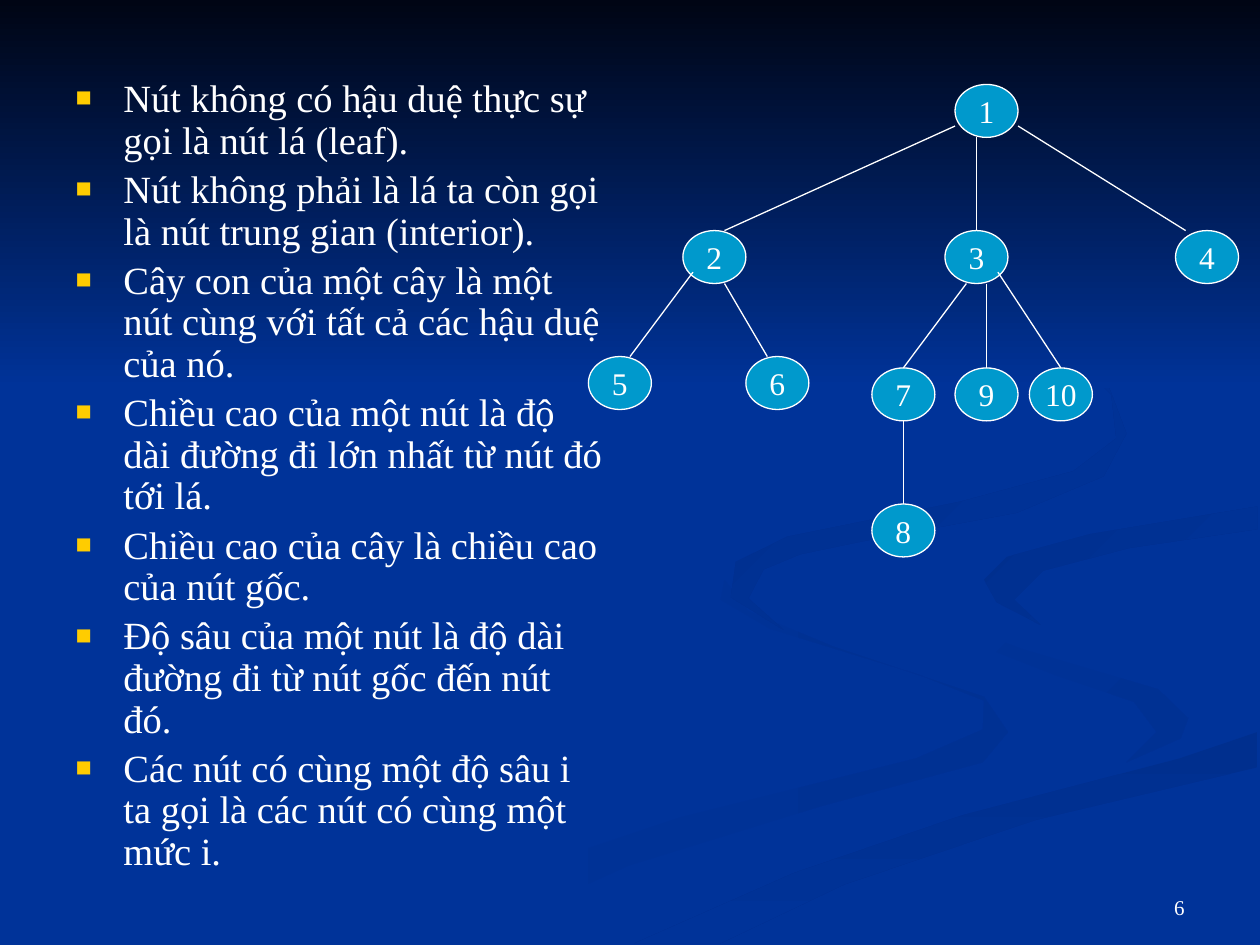
import pptx
import pptx.util
import pptx.dml.color
import pptx.enum.shapes
import pptx.enum.text
import lxml.etree
from dataclasses import dataclass
from pptx.oxml.ns import qn

Inches = pptx.util.Inches
Pt = pptx.util.Pt
Align = pptx.enum.text.PP_ALIGN
Anchor = pptx.enum.text.MSO_ANCHOR
Shape = pptx.enum.shapes.MSO_SHAPE


@dataclass(frozen=True)
class Theme:
    font: str = "Times New Roman"
    white: str = "FFFFFF"
    back: str = "003399"
    night: str = "000514"
    shade: str = "002F8E"
    pale: str = "003193"
    node: str = "0099CC"
    mark: str = "FFCC00"
    body: int = 22
    label: int = 18
    small: int = 12


THEME = Theme()
WIDE, HIGH = 0.5, 0.42

ITEMS = [
    "Nút không có hậu duệ thực sự gọi là nút lá (leaf).",
    "Nút không phải là lá ta còn gọi là nút trung gian (interior).",
    "Cây con của một cây là một nút cùng với tất cả các hậu duệ của nó.",
    "Chiều cao của một nút là độ dài đường đi lớn nhất từ nút đó tới lá.",
    "Chiều cao của cây là chiều cao của nút gốc.",
    "Độ sâu của một nút là độ dài đường đi từ nút gốc đến nút đó.",
    "Các nút có cùng một độ sâu i ta gọi là các nút có cùng một mức i.",
]

ROWS = [
    (0.67, {"1": 7.58}),
    (1.83, {"2": 5.42, "3": 7.5, "4": 9.33}),
    (2.83, {"5": 4.67, "6": 5.92}),
    (2.92, {"7": 6.92, "9": 7.58, "10": 8.17}),
    (4, {"8": 6.92}),
]
NODES = {name: (left, top) for top, row in ROWS for name, left in row.items()}

EDGES = [
    ("1", "2", 0, 0.33), ("1", "3", 0.17, 0.25), ("1", "4", 0.5, 0.08),
    ("2", "5", 0.08, 0.33), ("2", "6", 0.33, 0.17),
    ("3", "7", 0.17, 0.25), ("3", "9", 0.33, 0.25), ("3", "10", 0.42, 0.25),
    ("7", "8", 0.25, 0.25),
]

WAVES = [
    (THEME.back, THEME.pale, 0, [
        (5.75, 4.6), (5.72, 4.76), (6.11, 4.99), (7.28, 5.35), (7.81, 5.56),
        (7.8, 5.79), (7.27, 6.02), (5.39, 6.49), (4.17, 6.9), (3, 7.49),
        (3.61, 7.49), (4.99, 6.87), (6.51, 6.4), (7.8, 6.05), (8, 5.81),
        (7.81, 5.53), (6.61, 5.13), (5.94, 4.85)]),
    (THEME.back, THEME.pale, 45, [
        (7.24, 4.64), (7.46, 5), (8.38, 5.36), (9, 5.57), (9.18, 5.81),
        (8.94, 6.05), (9.37, 5.86), (9.43, 5.7), (9.19, 5.47), (8.11, 5.15),
        (7.45, 4.9)]),
    (THEME.shade, THEME.back, 90, [
        (5.03, 7.49), (5.71, 7.49), (6.7, 7.02), (8.21, 6.51), (9.98, 6.09),
        (9.98, 5.81), (9.36, 6.02), (7.64, 6.47), (6.3, 6.93)]),
    (THEME.shade, THEME.back, 45, [
        (7.81, 4.6), (7.91, 4.78), (8.26, 4.96), (8.05, 4.76), (8.28, 4.53),
        (8.96, 4.35), (9.98, 4.2), (9.98, 4.02), (8.65, 4.24), (7.99, 4.42)]),
    (THEME.shade, THEME.back, 45, [
        (6.83, 4.3), (8.07, 4.07), (8.76, 3.78), (8.94, 3.44), (8.8, 3.07),
        (8.43, 2.75), (7.62, 2.33), (8.46, 2.79), (8.82, 3.13), (8.86, 3.48),
        (8.52, 3.74), (7.63, 3.98), (6.25, 4.26), (5.84, 4.46), (5.8, 4.74),
        (6.22, 5), (5.94, 4.75), (6.06, 4.52), (6.35, 4.4)]),
]


def tint(code):
    return pptx.dml.color.RGBColor.from_string(code)


def style(para, size, align):
    para.alignment = align
    para.font.size = Pt(size)
    para.font.name = THEME.font
    para.font.color.rgb = tint(THEME.white)


def blend(shape, first, last, angle):
    shape.shadow.inherit = False
    shape.line.fill.background()
    shape.fill.gradient()
    shape.fill.gradient_angle = -angle % 360
    for stop, code in zip(shape.fill.gradient_stops, (first, last)):
        stop.color.rgb = tint(code)


def add_wave(slide, first, last, angle, points):
    start, *rest = [tuple(map(Inches, point)) for point in points]
    pen = slide.shapes.build_freeform(*start)
    pen.add_line_segments(rest, close=True)
    blend(pen.convert_to_shape(), first, last, angle)


def add_sky(slide):
    sky = slide.shapes.add_shape(Shape.RECTANGLE, 0, 0, Inches(10), Inches(3.08))
    blend(sky, THEME.night, THEME.back, 90)


def add_mark(para):
    props = para._p.get_or_add_pPr()
    props.set("marL", str(Inches(0.38)))
    props.set("indent", str(-Inches(0.38)))
    color = lxml.etree.SubElement(props, qn("a:buClr"))
    lxml.etree.SubElement(color, qn("a:srgbClr"), val=THEME.mark)
    lxml.etree.SubElement(props, qn("a:buSzPct"), val="70000")
    lxml.etree.SubElement(props, qn("a:buFont"), typeface=THEME.font)
    lxml.etree.SubElement(props, qn("a:buChar"), char="■")


def fill_list(body, items):
    body.left, body.top = Inches(0.5), Inches(0.58)
    body.width, body.height = Inches(4.42), Inches(6.12)
    frame = body.text_frame
    frame.auto_size = pptx.enum.text.MSO_AUTO_SIZE.NONE
    frame.text = "\n".join(items)
    for index, para in enumerate(frame.paragraphs):
        add_mark(para)
        para.line_spacing = 0.9
        para.space_before = Pt(4.4 if index else 0)
        style(para, THEME.body, Align.LEFT)


def add_edge(slide, upper, lower, start, end):
    left, top = NODES[upper]
    low, base = NODES[lower]
    drop = HIGH if 0.1 < start < 0.4 else 0.33
    ends = map(Inches, (left + start, top + drop, low + end, base))
    kind = pptx.enum.shapes.MSO_CONNECTOR.STRAIGHT
    edge = slide.shapes.add_connector(kind, *ends)
    edge.line.color.rgb = tint(THEME.white)
    edge.line.width = Pt(0.75)
    lxml.etree.SubElement(edge._element.spPr, qn("a:effectLst"))


def add_node(slide, label, left, top):
    node = slide.shapes.add_shape(Shape.OVAL, *map(Inches, (left, top, WIDE, HIGH)))
    node.shadow.inherit = False
    node.fill.solid()
    node.fill.fore_color.rgb = tint(THEME.node)
    node.line.color.rgb = tint(THEME.white)
    node.line.width = Pt(0.75)
    frame = node.text_frame
    frame.word_wrap = False
    frame.vertical_anchor = Anchor.MIDDLE
    frame.text = label
    style(frame.paragraphs[0], THEME.label, Align.CENTER)


def add_number(slide, text):
    box = slide.shapes.add_textbox(Inches(7.17), Inches(6.83), Inches(2.33), Inches(0.52))
    frame = box.text_frame
    frame.word_wrap = True
    frame.vertical_anchor = Anchor.BOTTOM
    frame.text = text
    style(frame.paragraphs[0], THEME.small, Align.RIGHT)


def main():
    deck = pptx.Presentation()
    deck.slide_width, deck.slide_height = Inches(10), Inches(7.5)
    slide = deck.slides.add_slide(deck.slide_layouts[1])
    slide.background.fill.solid()
    slide.background.fill.fore_color.rgb = tint(THEME.back)
    title, body = slide.placeholders
    tree = body._element.getparent()
    tree.remove(title._element)
    for wave in WAVES:
        add_wave(slide, *wave)
    add_sky(slide)
    add_number(slide, "6")
    tree.append(body._element)
    fill_list(body, ITEMS)
    for label, place in NODES.items():
        add_node(slide, label, *place)
    for edge in EDGES:
        add_edge(slide, *edge)
    deck.save("out.pptx")


if __name__ == "__main__":
    main()
